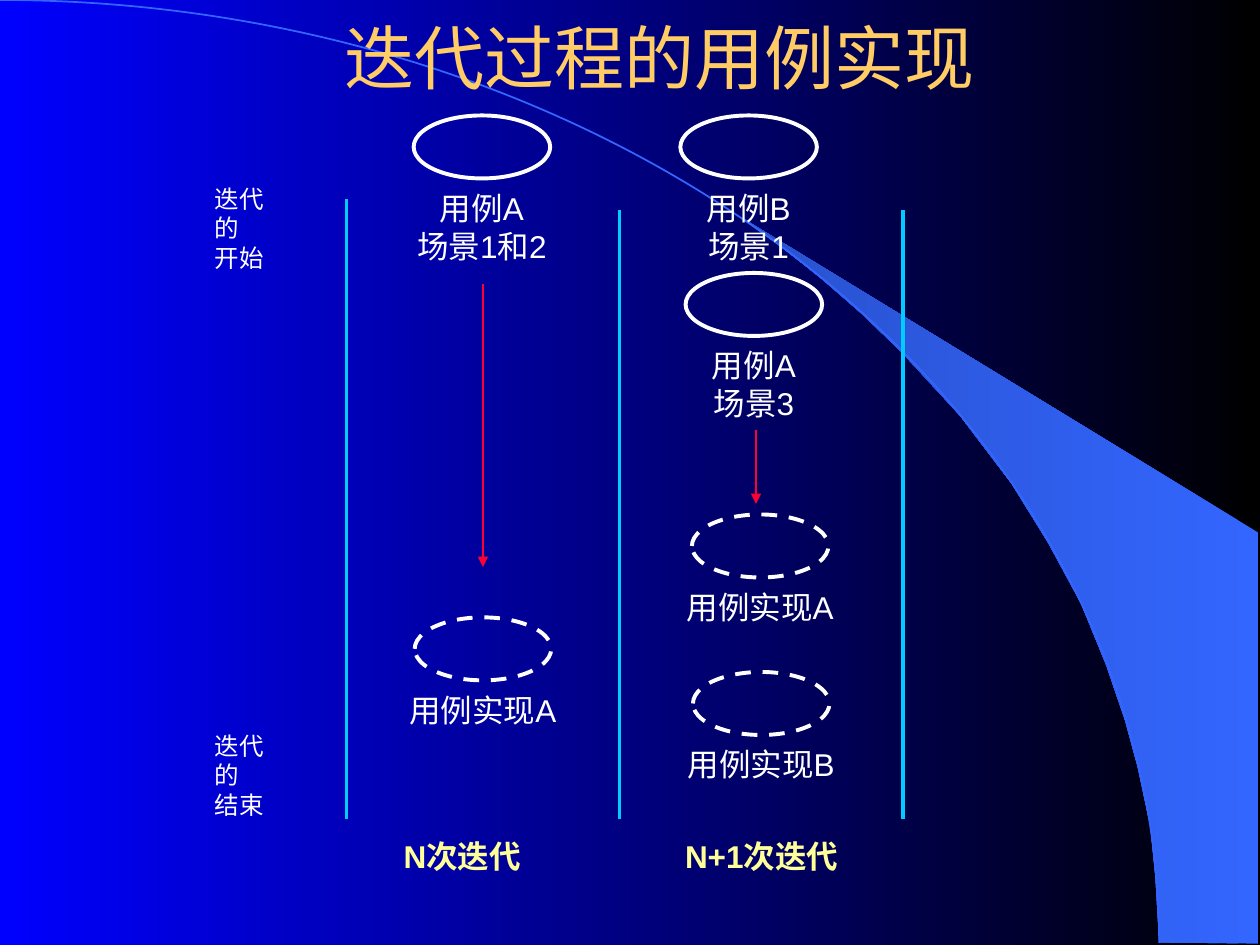
from lxml import etree
from pptx import Presentation
from pptx.dml.color import RGBColor
from pptx.enum.dml import MSO_LINE
from pptx.enum.shapes import MSO_CONNECTOR, MSO_SHAPE
from pptx.enum.text import MSO_ANCHOR, MSO_AUTO_SIZE, PP_ALIGN
from pptx.oxml.ns import qn
from pptx.util import Inches, Pt

STRAIGHT = MSO_CONNECTOR.STRAIGHT
OVAL, ARC = MSO_SHAPE.OVAL, MSO_SHAPE.ARC
DASH = MSO_LINE.DASH
MIDDLE = MSO_ANCHOR.MIDDLE
FIT_SHAPE, NO_FIT = MSO_AUTO_SIZE.SHAPE_TO_FIT_TEXT, MSO_AUTO_SIZE.NONE
LEFT, CENTER = PP_ALIGN.LEFT, PP_ALIGN.CENTER

# Grid of 120 columns by 90 rows on a 10 x 7.5 inch slide
COLUMNS, ROWS = 120, 90
CELL = Inches(10) / COLUMNS
OVAL_COLS, OVAL_ROWS = 13, 6

WHITE, CYAN, RED, BLUE = "FFFFFF", "00CCFF", "FF0033", "3366FF"
TITLE_COLOR, CAPTION_COLOR = "FFCC66", "FFFF99"

# Outline of the sweep, in hundredths of an inch
SWEEP = [(920, 748), (999, 749), (999, 423), (589, 173), (624, 199), (653, 222),
         (685, 250), (716, 280), (762, 330), (803, 384), (832, 431), (858, 479),
         (878, 528), (893, 572), (903, 609), (913, 656), (917, 696)]


def grid(*cells):
    return [round(cell * CELL) for cell in cells]


def color(value):
    return RGBColor.from_string(value)


def fill_gradient(fill, first, last):
    fill.gradient()
    fill.gradient_angle = 180
    for stop, value in zip(fill.gradient_stops, (first, last)):
        stop.color.rgb = color(value)


def style_line(line, value, width, dash=None):
    line.color.rgb = color(value)
    line.width = Pt(width)
    if dash:
        line.dash_style = dash


def write(frame, text, size=18, value=WHITE, bold=False, align=LEFT,
          inset=0.1, wrap=False, fit=FIT_SHAPE):
    frame.word_wrap = wrap
    frame.auto_size = fit
    frame.margin_left = frame.margin_right = Inches(inset)
    frame.margin_top = frame.margin_bottom = Inches(inset / 2)
    for index, words in enumerate(text.split("\n")):
        para = frame.paragraphs[0] if index == 0 else frame.add_paragraph()
        para.alignment = align
        span = para.add_run()
        span.text = words
        span.font.name = "Arial"
        span.font.size = Pt(size)
        span.font.bold = bold
        span.font.color.rgb = color(value)


def add_label(shapes, box, text, **style):
    write(shapes.add_textbox(*grid(*box)).text_frame, text, **style)


def add_outline(shapes, preset, box, value, width, dash=None):
    shape = shapes.add_shape(preset, *grid(*box))
    shape.shadow.inherit = False
    shape.fill.background()
    style_line(shape.line, value, width, dash)


def add_line(page, column, top, bottom, value, width, arrow=False):
    line = page.shapes.add_connector(STRAIGHT, *grid(column, top, column, bottom))
    style_line(line.line, value, width)
    if arrow:
        etree.SubElement(line.line._get_or_add_ln(), qn("a:tailEnd"), type="triangle")
    etree.SubElement(line._element.spPr, qn("a:effectLst"))


def add_backdrop(page):
    fill_gradient(page.background.fill, "000000", "0000FF")
    shapes = page.shapes.add_group_shape().shapes
    builder = shapes.build_freeform(*SWEEP[0], scale=Inches(0.01))
    builder.add_line_segments(SWEEP[1:], close=True)
    sweep = builder.convert_to_shape()
    sweep.shadow.inherit = False
    fill_gradient(sweep.fill, BLUE, "2851CC")
    sweep.line.fill.background()
    # Quarter arc centred on the lower left corner
    radius = 110.4
    add_outline(shapes, ARC, (-radius, 0, 2 * radius, 2 * ROWS - 0.4), BLUE, 1)


def add_title(page, box, text):
    title = page.shapes.title
    title.left, title.top, title.width, title.height = grid(*box)
    write(title.text_frame, text, size=40, value=TITLE_COLOR, align=CENTER,
          wrap=True, fit=NO_FIT)
    title.text_frame.vertical_anchor = MIDDLE
    page.shapes._spTree.append(title._element)  # in front of the backdrop


def add_use_case(page, center, top, text, dash=None):
    shapes = page.shapes.add_group_shape().shapes
    add_outline(shapes, OVAL, (center - OVAL_COLS / 2, top, OVAL_COLS, OVAL_ROWS),
                WHITE, 2.25, dash)
    width = 17
    height = 1.2 + 3.6 * len(text.split("\n"))
    add_label(shapes, (center - width / 2, top + 6.4, width, height), text, align=CENTER)


def main():
    deck = Presentation()
    deck.slide_width, deck.slide_height = grid(COLUMNS, ROWS)
    page = deck.slides.add_slide(deck.slide_layouts[5])
    add_backdrop(page)
    add_title(page, (11.8, 3.4, 102, 4), "迭代过程的用例实现")

    # Boundaries of the iterations
    for column, top in ((33, 19), (59, 20), (86, 20)):
        add_line(page, column, top, 78, CYAN, 2.25)

    # Captions of the iterations
    for left, width, text in ((37, 18.2, "N次迭代"), (63.8, 23.6, "N+1次迭代")):
        add_label(page.shapes, (left, 79, width, 5), text, value=CAPTION_COLOR,
                  bold=True, inset=0.12, wrap=True)

    # Start and end of an iteration
    for top, text in ((16.8, "迭代的\n开始"), (68.9, "迭代的\n结束")):
        add_label(page.shapes, (19, top, 9.8, 7.1), text, size=14, inset=0.12)

    # Use cases, and their realizations with dashed outlines
    for center, top, text, dash in (
            (45.9, 11, "用例A\n场景1和2", None),
            (46, 58.8, "用例实现A", DASH),
            (71.3, 11, "用例B\n场景1", None),
            (71.8, 26, "用例A\n场景3", None),
            (72.4, 49, "用例实现A", DASH),
            (72.5, 64, "用例实现B", DASH)):
        add_use_case(page, center, top, text, dash)

    # Arrows from use case to realization
    for column, top, bottom in ((46, 27, 54), (72, 41, 48)):
        add_line(page, column, top, bottom, RED, 0.75, arrow=True)

    deck.save("out.pptx")


if __name__ == "__main__":
    main()
